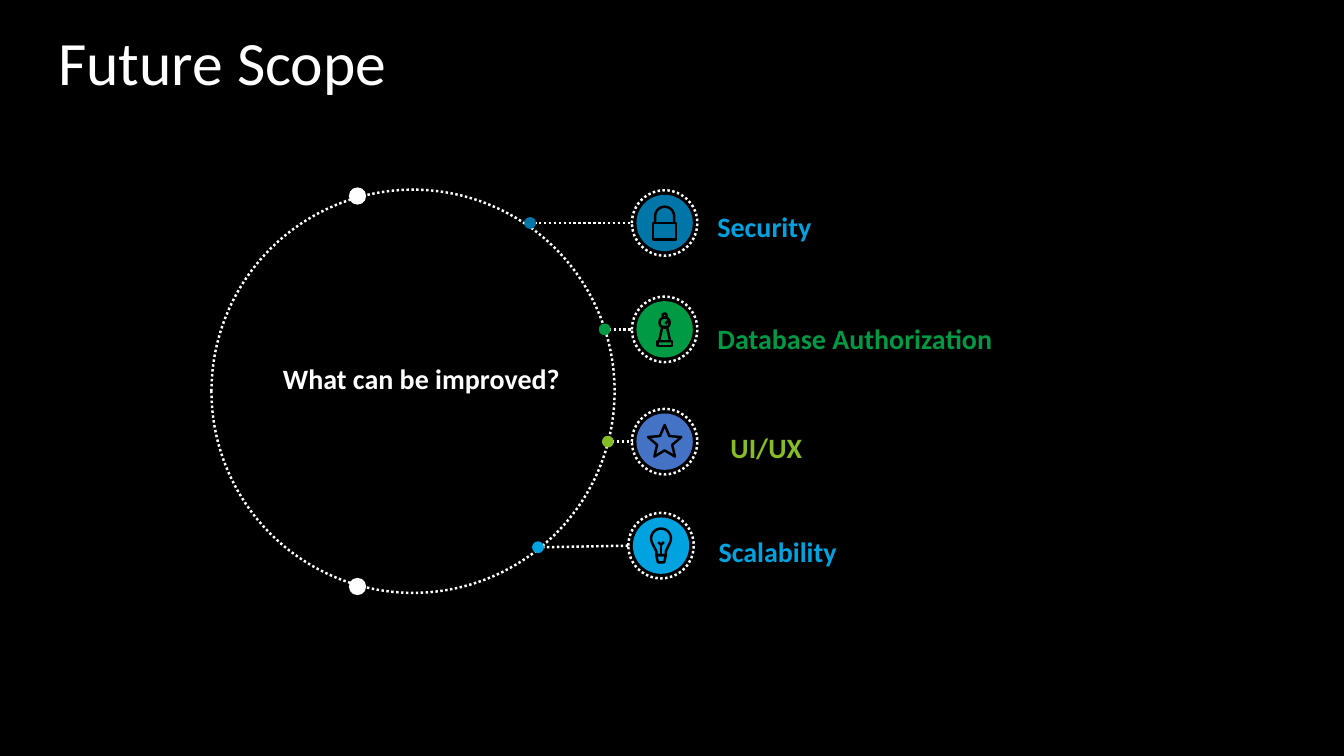
from math import cos, pi, radians, sin

from pptx import Presentation
from pptx.dml.color import RGBColor
from pptx.enum.dml import MSO_LINE
from pptx.enum.shapes import MSO_CONNECTOR, MSO_SHAPE
from pptx.oxml import parse_xml
from pptx.oxml.ns import nsdecls
from pptx.util import Cm, Pt

FONT = "Calibri"
WHITE, BLACK = "FFFFFF", "000000"
RING, DISC, DOT, END_DOT = 1.65, 1.42, 0.2, 0.38


def color(value):
    return RGBColor.from_string(value)


def style_line(line, value, width, dotted=False):
    line.color.rgb = color(value)
    line.width = Pt(width)
    if dotted:
        line.dash_style = MSO_LINE.ROUND_DOT


def add_circle(slide, x, y, diameter, fill=None):
    shape = slide.shapes.add_shape(
        MSO_SHAPE.OVAL, Cm(x - diameter / 2), Cm(y - diameter / 2), Cm(diameter), Cm(diameter)
    )
    shape.shadow.inherit = False
    if fill:
        shape.fill.solid()
        shape.fill.fore_color.rgb = color(fill)
    else:
        shape.fill.background()
    return shape


def add_text(slide, left, top, width, height, text, size, value, bold=True):
    shape = slide.shapes.add_textbox(Cm(left), Cm(top), Cm(width), Cm(height))
    shape.text_frame.word_wrap = True
    paragraph = shape.text_frame.paragraphs[0]
    run = paragraph.add_run()
    run.text = text
    run.font.name = FONT
    run.font.size = Pt(size)
    run.font.bold = bold
    run.font.color.rgb = color(value)
    return shape


def add_dotted_link(slide, x1, y1, x2, y2):
    connector = slide.shapes.add_connector(MSO_CONNECTOR.STRAIGHT, Cm(x1), Cm(y1), Cm(x2), Cm(y2))
    style_line(connector.line, WHITE, 1.75, dotted=True)
    connector._element.spPr.append(parse_xml(f"<a:effectLst {nsdecls('a')}/>"))


def add_stroke(slide, x, y, points, closed=True):
    corners = [(Cm(x + dx), Cm(y + dy)) for dx, dy in points]
    builder = slide.shapes.build_freeform(*corners[0])
    builder.add_line_segments(corners[1:], close=closed)
    shape = builder.convert_to_shape()
    shape.shadow.inherit = False
    shape.fill.background()
    style_line(shape.line, BLACK, 1.75)


def arc(y, radius, start, end, steps=24):
    angles = [radians(start + (end - start) * i / steps) for i in range(steps + 1)]
    return [(radius * cos(angle), y + radius * sin(angle)) for angle in angles]


def draw_lock(slide, x, y):
    add_stroke(slide, x, y, [(-0.29, 0), (0.29, 0), (0.29, 0.42), (-0.29, 0.42)])
    add_stroke(slide, x, y, [(-0.24, 0), *arc(-0.17, 0.24, 180, 360), (0.24, 0)], closed=False)


def draw_chess_piece(slide, x, y):
    add_stroke(slide, x, y, [(-0.06, -0.06), (0.06, -0.06), (0.14, 0.3), (-0.14, 0.3)])
    add_stroke(slide, x, y, [(-0.18, 0.3), (0.18, 0.3), (0.18, 0.42), (-0.18, 0.42)])
    add_stroke(slide, x, y, [(0.1, -0.22), (0.02, -0.14)], closed=False)
    for dy, diameter in ((-0.35, 0.1), (-0.17, 0.26)):
        circle = add_circle(slide, x, y + dy, diameter)
        style_line(circle.line, BLACK, 1.75)


def draw_star(slide, x, y):
    points = []
    for i in range(10):
        radius = 0.2 if i % 2 else 0.44
        angle = i * pi / 5 - pi / 2
        points.append((radius * cos(angle), 0.02 + radius * sin(angle)))
    add_stroke(slide, x, y, points)


def draw_bulb(slide, x, y):
    add_stroke(slide, x, y, [(-0.12, 0.24), (-0.12, 0.14), *arc(-0.18, 0.25, 150, 390),
                             (0.12, 0.14), (0.12, 0.24)])
    add_stroke(slide, x, y, [(-0.12, 0.24), (0.12, 0.24), (0.08, 0.42), (-0.08, 0.42)])
    add_stroke(slide, x, y, [(0, 0.24), (0, -0.02)], closed=False)
    add_stroke(slide, x, y, [(-0.07, -0.09), (0, -0.02), (0.07, -0.09)], closed=False)


def add_title(slide, left, top, width, height):
    frame = add_text(slide, left, top, width, height, "Future Scope", 44, WHITE, False).text_frame
    frame.margin_left = frame.margin_top = frame.margin_right = frame.margin_bottom = 0
    frame.paragraphs[0].line_spacing = 0.9


def add_question_circle(slide, left, top, diameter):
    center_x, center_y = left + diameter / 2, top + diameter / 2
    circle = add_circle(slide, center_x, center_y, diameter)
    style_line(circle.line, WHITE, 1.75, dotted=True)
    for offset in (-4.92, 4.92):
        end_dot = add_circle(slide, center_x - 1.4, center_y + offset, END_DOT, WHITE)
        style_line(end_dot.line, WHITE, 1.5)
    add_text(slide, left + 1.55, top + 4.21, 7.95, 1.12, "What can be improved?", 20, WHITE)


def add_topic(slide, x, y, dot_x, dot_y, text_x, text_y, text, text_color, dot_color, disc_color, draw_icon):
    add_dotted_link(slide, dot_x + DOT / 2, dot_y, x - RING / 2, y)
    ring = add_circle(slide, x, y, RING)
    style_line(ring.line, WHITE, 1.75, dotted=True)
    disc = add_circle(slide, x, y, DISC, disc_color)
    disc.line.fill.background()
    draw_icon(slide, x, y)
    dot = add_circle(slide, dot_x, dot_y, DOT, dot_color)
    style_line(dot.line, dot_color, 2.75)
    add_text(slide, text_x, text_y, 8.61, 1.12, text, 20, text_color)


TOPICS = [
    (16.75, 5.62, 13.36, 5.62, 17.83, 5.16, "Security", "00A3E0", "0076A8", "0076A8", draw_lock),
    (16.75, 8.3, 15.24, 8.3, 17.83, 7.98, "Database Authorization", "009A44", "009A44", "009A44", draw_chess_piece),
    (16.75, 11.13, 15.32, 11.13, 18.16, 10.72, "UI/UX", "86BC25", "86BC25", "4472C4", draw_star),
    (16.66, 13.75, 13.56, 13.79, 17.86, 13.34, "Scalability", "00A3E0", "00A3E0", "00A3E0", draw_bulb),
]


def main():
    presentation = Presentation()
    presentation.slide_width, presentation.slide_height = Cm(33.87), Cm(19.05)
    slide = presentation.slides.add_slide(presentation.slide_layouts[6])
    slide.background.fill.solid()
    slide.background.fill.fore_color.rgb = color(BLACK)
    add_question_circle(slide, 5.33, 4.78, 10.16)
    for topic in TOPICS:
        add_topic(slide, *topic)
    add_title(slide, 1.47, 0.81, 30.94, 1.3)
    presentation.save("out.pptx")


if __name__ == "__main__":
    main()
